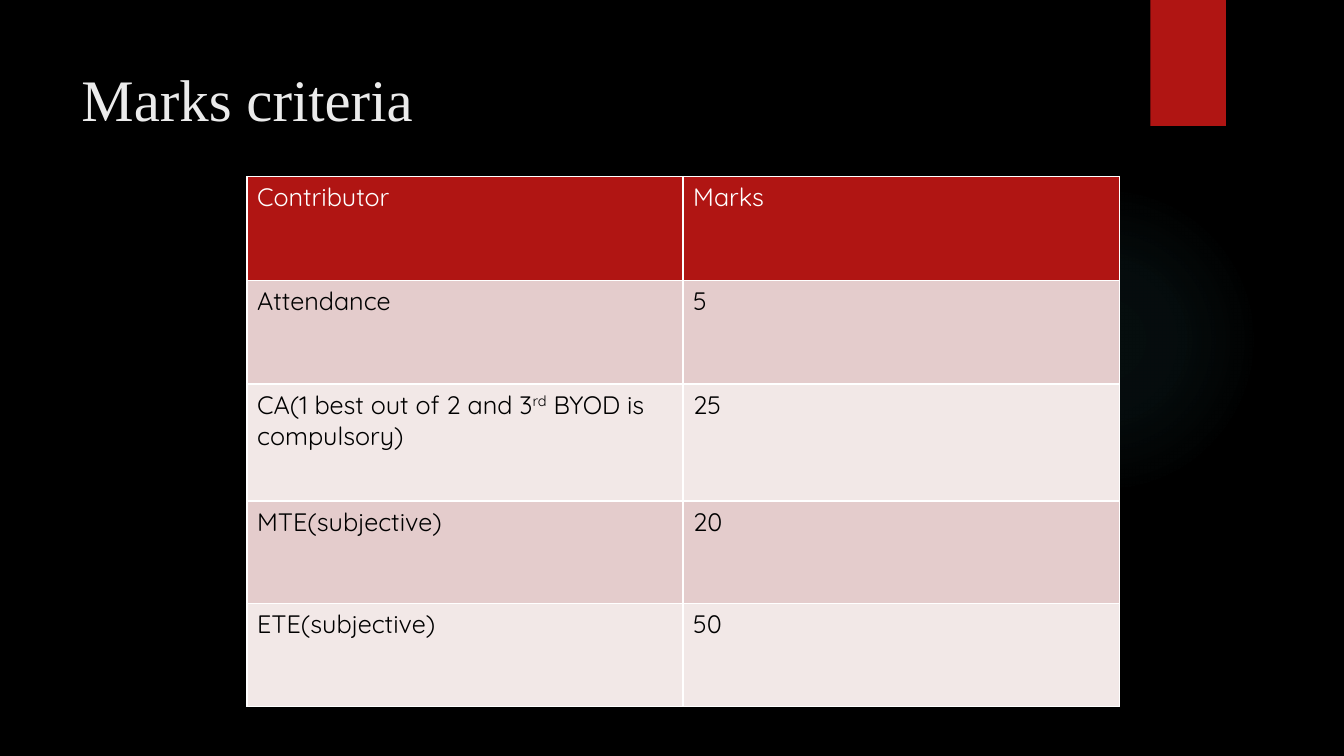
import lxml.etree
import pptx
import pptx.dml.color
import pptx.enum.shapes
import pptx.enum.text
import pptx.oxml
import pptx.oxml.ns
import pptx.util

SLIDE_WIDTH, SLIDE_HEIGHT = 13.33, 7.5
COLORS = {
    "background": "000000",
    "glow": "50B9C1",
    "red": "B01513",
    "title": "EBEBEB",
    "white": "FFFFFF",
    "black": "000000",
    "dark_band": "E4CCCC",
    "light_band": "F2E8E7",
}
GLOW_STOPS = [(0, 7), (36, 6), (69, 0)]  # position and opacity in percent
ROW_HEIGHTS = [1.03, 1.03, 1.16, 1.02, 1.02]
# Each cell is a list of (text, is superscript) runs
MARKS_ROWS = [
    ([("Contributor", False)], [("Marks", False)]),
    ([("Attendance", False)], [("5", False)]),
    (
        [("CA(1 best out of 2 and 3", False), ("rd", True), (" BYOD is compulsory)", False)],
        [("25", False)],
    ),
    ([("MTE(subjective)", False)], [("20", False)]),
    ([("ETE(subjective)", False)], [("50", False)]),
]


def rgb(name):
    return pptx.dml.color.RGBColor.from_string(COLORS[name])


def inches(box):
    return [pptx.util.Inches(length) for length in box]


def set_font(paragraph, name, size, color):
    font = paragraph.font
    font.name = name
    font.size = pptx.util.Pt(size)
    font.bold = False
    font.color.rgb = rgb(color)


def add_plain_shape(slide, kind, box, color):
    shape = slide.shapes.add_shape(kind, *inches(box))
    shape.shadow.inherit = False
    shape.fill.solid()
    shape.fill.fore_color.rgb = rgb(color)
    shape.line.fill.background()
    return shape


def add_glow(slide, box):
    glow = add_plain_shape(slide, pptx.enum.shapes.MSO_SHAPE.OVAL, box, "glow")
    stops = "".join(
        f'<a:gs pos="{position * 1000}"><a:srgbClr val="{COLORS["glow"]}">'
        f'<a:alpha val="{opacity * 1000}"/></a:srgbClr></a:gs>'
        for position, opacity in GLOW_STOPS
    )
    gradient = pptx.oxml.parse_xml(
        f'<a:gradFill {pptx.oxml.ns.nsdecls("a")}><a:gsLst>{stops}</a:gsLst>'
        '<a:path path="circle"><a:fillToRect l="50000" t="50000" r="50000" b="50000"/>'
        "</a:path></a:gradFill>"
    )
    properties = glow.element.spPr
    solid = properties.find(pptx.oxml.ns.qn("a:solidFill"))
    properties.replace(solid, gradient)


def add_title(slide, box):
    text_box = slide.shapes.add_textbox(*inches(box))
    frame = text_box.text_frame
    frame.word_wrap = True
    frame.vertical_anchor = pptx.enum.text.MSO_ANCHOR.TOP
    paragraph = frame.paragraphs[0]
    paragraph.text = "Marks criteria"
    set_font(paragraph, "Times New Roman", 42, "title")


def set_borders(cell, color, points):
    properties = cell._tc.get_or_add_tcPr()
    for index, side in enumerate(("lnL", "lnR", "lnT", "lnB")):
        border = pptx.oxml.parse_xml(
            f'<a:{side} {pptx.oxml.ns.nsdecls("a")} w="{pptx.util.Pt(points)}">'
            f'<a:solidFill><a:srgbClr val="{COLORS[color]}"/></a:solidFill></a:{side}>'
        )
        properties.insert(index, border)


def fill_cell(cell, runs, fill, text_color):
    cell.fill.solid()
    cell.fill.fore_color.rgb = rgb(fill)
    set_borders(cell, "white", 1)
    paragraph = cell.text_frame.paragraphs[0]
    set_font(paragraph, "Quicksand", 18, text_color)
    for text, superscript in runs:
        run = paragraph.add_run()
        run.text = text
        if superscript:
            run.font._element.set("baseline", "30000")


def add_marks_table(slide, box):
    columns = len(MARKS_ROWS[0])
    frame = slide.shapes.add_table(len(MARKS_ROWS), columns, *inches(box))
    table = frame.table
    for column in table.columns:
        column.width = pptx.util.Inches(box[2] / columns)
    for row_index, (height, row) in enumerate(zip(ROW_HEIGHTS, MARKS_ROWS)):
        table.rows[row_index].height = pptx.util.Inches(height)
        if row_index == 0:
            fill, text_color = "red", "white"
        else:
            fill = "dark_band" if row_index % 2 else "light_band"
            text_color = "black"
        for column_index, runs in enumerate(row):
            fill_cell(table.cell(row_index, column_index), runs, fill, text_color)


def build_marks_slide(presentation):
    slide = presentation.slides.add_slide(presentation.slide_layouts[6])
    slide.background.fill.solid()
    slide.background.fill.fore_color.rgb = rgb("background")
    # Backdrop: faint glow and red ribbon
    add_glow(slide, (9.41, 1.83, 3.08, 3.08))
    ribbon_box = (11.41, 0, 0.75, SLIDE_HEIGHT / 6)
    add_plain_shape(slide, pptx.enum.shapes.MSO_SHAPE.RECTANGLE, ribbon_box, "red")
    # Content: title and marks table
    add_title(slide, (0.71, 0.57, 10.29, 1.46))
    add_marks_table(slide, (2.45, 1.75, 8.65, sum(ROW_HEIGHTS)))


def main():
    presentation = pptx.Presentation()
    presentation.slide_width = pptx.util.Inches(SLIDE_WIDTH)
    presentation.slide_height = pptx.util.Inches(SLIDE_HEIGHT)
    build_marks_slide(presentation)
    presentation.save("out.pptx")


if __name__ == "__main__":
    main()
